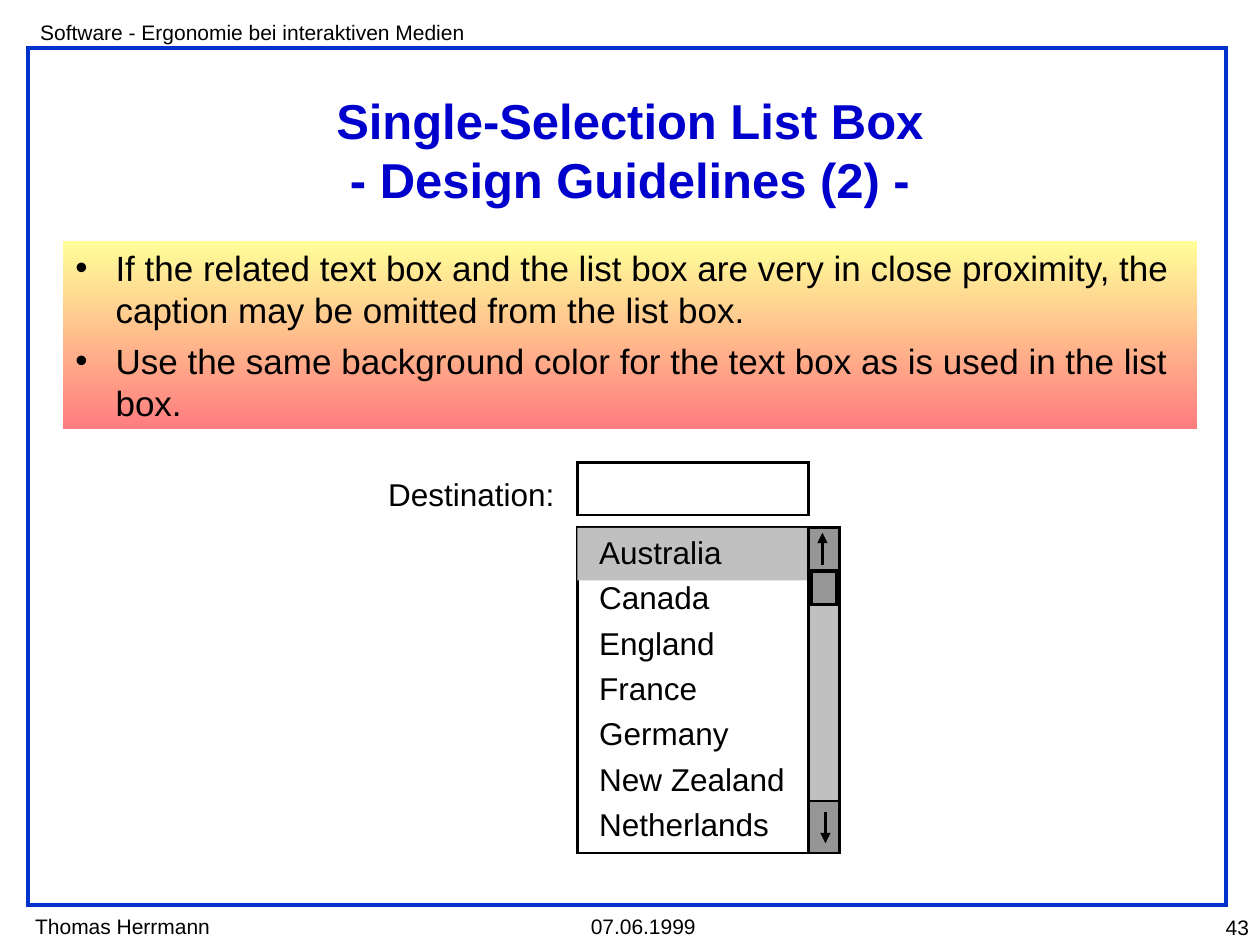
from lxml.etree import SubElement
from pptx import Presentation
from pptx.dml.color import RGBColor
from pptx.enum.shapes import MSO_CONNECTOR, MSO_SHAPE
from pptx.enum.text import MSO_ANCHOR, PP_ALIGN
from pptx.oxml.ns import qn
from pptx.util import Cm, Pt

BLACK = RGBColor(0x00, 0x00, 0x00)
WHITE = RGBColor(0xFF, 0xFF, 0xFF)
FRAME_BLUE = RGBColor(0x00, 0x33, 0xCC)
TITLE_BLUE = RGBColor(0x00, 0x00, 0xCC)
YELLOW = RGBColor(0xFF, 0xFF, 0x99)
CORAL = RGBColor(0xFF, 0x7C, 0x80)
LIGHT_GRAY = RGBColor(0xC0, 0xC0, 0xC0)
GRAY = RGBColor(0x96, 0x96, 0x96)

COUNTRIES = ["Australia", "Canada", "England", "France", "Germany",
             "New Zealand", "Netherlands"]
GUIDELINES = [
    "If the related text box and the list box are very in close proximity, "
    "the caption may be omitted from the list box.",
    "Use the same background color for the text box as is used in the list box.",
]


def add_rect(s, x, y, w, h, fill=None, line=None, width=1.5):
    sp = s.shapes.add_shape(MSO_SHAPE.RECTANGLE, Cm(x), Cm(y), Cm(w), Cm(h))
    sp.shadow.inherit = False
    if fill is None:
        sp.fill.background()
    else:
        sp.fill.solid()
        sp.fill.fore_color.rgb = fill
    if line is None:
        sp.line.fill.background()
    else:
        sp.line.color.rgb = line
        sp.line.width = Pt(width)
        SubElement(sp.line._get_or_add_ln(), qn("a:miter")).set("lim", "800000")
    return sp


def add_bullet(p, indent):
    pPr = p._p.get_or_add_pPr()
    pPr.set("marL", str(Cm(indent)))
    pPr.set("indent", str(-Cm(indent)))
    SubElement(pPr, qn("a:buFont")).set("typeface", "Arial")
    SubElement(pPr, qn("a:buChar")).set("char", "•")


def write(tf, lines, size=12, color=BLACK, bold=False, align=PP_ALIGN.LEFT,
          anchor=MSO_ANCHOR.TOP, wrap=False, inset=(0.25, 0.13),
          spacing=None, before=0, bullet=None):
    tf.word_wrap = wrap
    tf.vertical_anchor = anchor
    tf.margin_left = tf.margin_right = Cm(inset[0])
    tf.margin_top = tf.margin_bottom = Cm(inset[1])
    for i, line in enumerate(lines):
        p = tf.add_paragraph() if i else tf.paragraphs[0]
        p.text = line
        p.alignment = align
        if spacing:
            p.line_spacing = spacing
        if i and before:
            p.space_before = Pt(before)
        if bullet:
            add_bullet(p, bullet)
        for r in p.runs:
            r.font.name = "Arial"
            r.font.size = Pt(size)
            r.font.bold = bold
            r.font.color.rgb = color


def add_text(s, x, y, w, h, lines, **fmt):
    tb = s.shapes.add_textbox(Cm(x), Cm(y), Cm(w), Cm(h))
    write(tb.text_frame, lines, **fmt)


def add_arrow(s, x, y1, y2):
    cx = s.shapes.add_connector(MSO_CONNECTOR.STRAIGHT, Cm(x), Cm(y1), Cm(x), Cm(y2))
    cx.line.color.rgb = BLACK
    cx.line.width = Pt(1.5)
    SubElement(cx.line._get_or_add_ln(), qn("a:tailEnd")).set("type", "triangle")
    SubElement(cx._element.spPr, qn("a:effectLst"))


def add_page_frame(s, x, y, w, h):
    """Border with the header above it and the footer below it."""
    add_rect(s, x, y, w, h, line=FRAME_BLUE, width=2.25)
    add_text(s, x, y - 0.71, 9.4, 0.76, ["Software - Ergonomie bei interaktiven Medien"])
    foot = y + h + 0.05
    add_text(s, x - 0.1, foot, 4.04, 0.76, ["Thomas Herrmann"])
    add_text(s, x + 11.1, foot, 2.62, 0.76, ["07.06.1999"])
    add_text(s, x + 22.43, foot + 0.02, 2.44, 0.76, ["43"], align=PP_ALIGN.RIGHT)


def add_title(s, x, y, w, h):
    add_text(s, x, y, w, h, ["Single-Selection List Box\v- Design Guidelines (2) -"],
             size=28, color=TITLE_BLUE, bold=True, align=PP_ALIGN.CENTER,
             anchor=MSO_ANCHOR.MIDDLE, wrap=True)


def add_guidelines(s, x, y, w, h):
    """Bulleted text on a vertical gradient."""
    sp = add_rect(s, x, y, w, h)
    sp.fill.gradient()
    sp.fill.gradient_angle = 270
    for stop, color in zip(sp.fill.gradient_stops, (YELLOW, CORAL)):
        stop.color.rgb = color
    write(sp.text_frame, GUIDELINES, size=20, anchor=MSO_ANCHOR.MIDDLE, wrap=True,
          before=5, bullet=0.81)


def add_scroll_bar(s, x, y, w, h):
    add_rect(s, x, y, w, h, GRAY, BLACK)
    add_arrow(s, x + 0.28, y + 0.74, y + 0.1)
    add_arrow(s, x + 0.34, y + h - 0.84, y + h - 0.2)
    # Track and thumb
    add_rect(s, x, y + 0.86, w, h - 1.91, LIGHT_GRAY, BLACK)
    add_rect(s, x + 0.06, y + 0.89, w - 0.12, 0.66, GRAY, BLACK)


def add_list_box(s, x, y, w, h):
    """Captioned entry field above a scrolling list."""
    bar, row, list_top = 0.63, 1.06, 1.32
    field_w = w - bar
    top, list_h = y + list_top, h - list_top
    # List with its selected row
    add_rect(s, x, top, w, list_h, WHITE, BLACK)
    add_rect(s, x, top, field_w, row, LIGHT_GRAY)
    add_text(s, x + 0.44, top - 0.05, 4.1, 6.4, COUNTRIES, size=18, wrap=True,
             anchor=MSO_ANCHOR.MIDDLE, inset=(0, 0), spacing=1.2)
    add_scroll_bar(s, x + field_w, top, bar, list_h)
    # Entry field and caption
    add_rect(s, x, y, field_w, row, WHITE, BLACK)
    add_text(s, x - 3.99, y + 0.25, 3.7, 0.76, ["Destination:"], size=18, wrap=True,
             align=PP_ALIGN.CENTER, anchor=MSO_ANCHOR.MIDDLE, inset=(0, 0))


def main():
    prs = Presentation()
    prs.slide_width, prs.slide_height = Cm(25.4), Cm(19.05)
    s = prs.slides.add_slide(prs.slide_layouts[6])
    add_page_frame(s, 0.56, 0.97, 24.16, 17.27)
    add_title(s, 1.27, 1.7, 22.86, 2.62)
    add_guidelines(s, 1.27, 4.85, 22.86, 3.81)
    add_list_box(s, 11.64, 9.32, 5.29, 7.88)
    prs.save("out.pptx")


if __name__ == "__main__":
    main()
